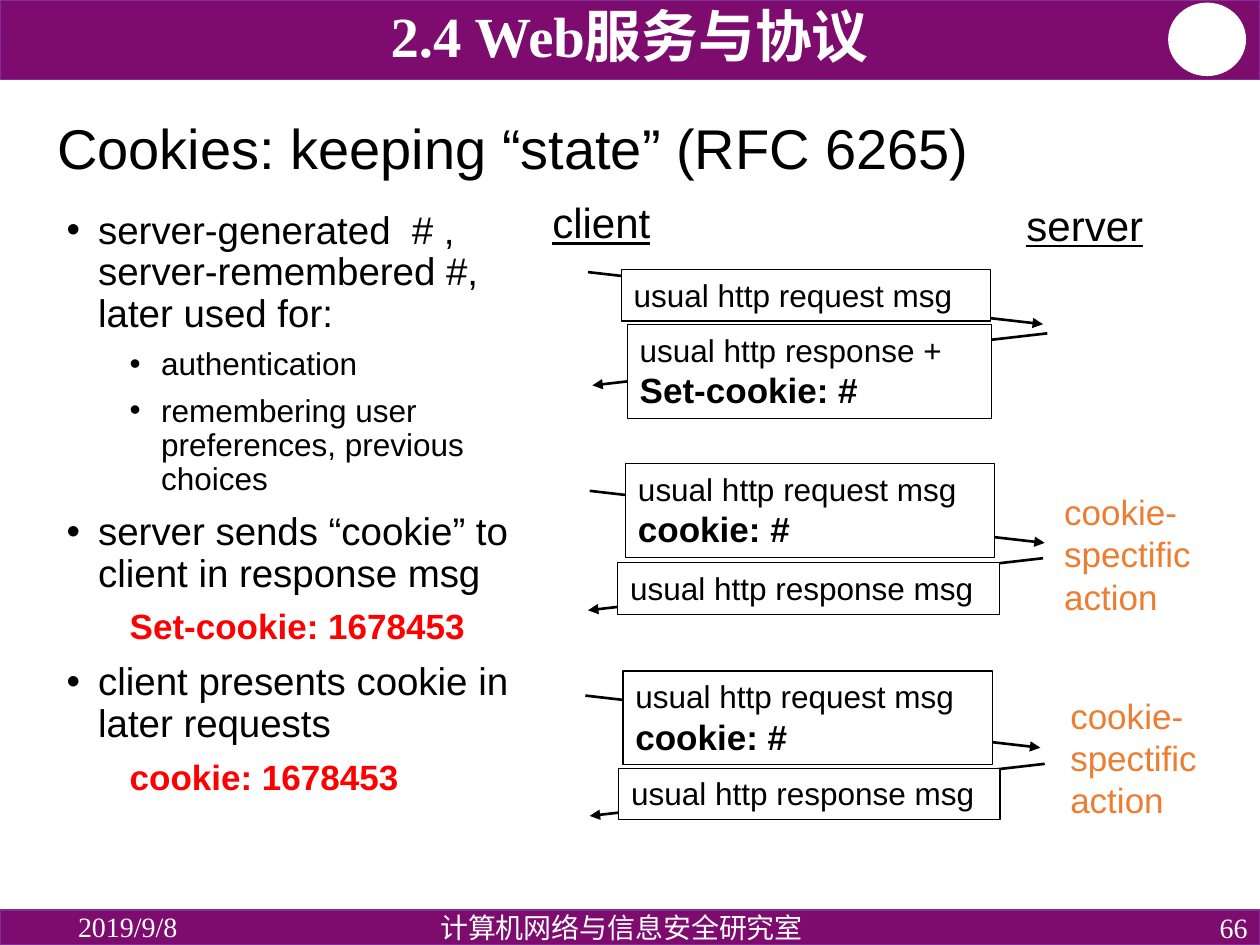
"""Build a slide on how HTTP cookies keep state between client and server."""
from lxml import etree
from pptx import Presentation
from pptx.dml.color import RGBColor
from pptx.enum.shapes import MSO_CONNECTOR, MSO_SHAPE
from pptx.enum.text import MSO_ANCHOR, PP_ALIGN
from pptx.oxml.ns import qn
from pptx.util import Pt

RECT, OVAL = MSO_SHAPE.RECTANGLE, MSO_SHAPE.OVAL
STRAIGHT = MSO_CONNECTOR.STRAIGHT
TOP, MIDDLE, BOTTOM = MSO_ANCHOR.TOP, MSO_ANCHOR.MIDDLE, MSO_ANCHOR.BOTTOM
LEFT, CENTER, RIGHT = PP_ALIGN.LEFT, PP_ALIGN.CENTER, PP_ALIGN.RIGHT

PURPLE = RGBColor(0x7E, 0x0C, 0x6E)
VIOLET = RGBColor(0x7F, 0x2F, 0x95)
WHITE = RGBColor(0xFF, 0xFF, 0xFF)
BLACK = RGBColor(0x00, 0x00, 0x00)
RED = RGBColor(0xFF, 0x00, 0x00)
ORANGE = RGBColor(0xED, 0x7D, 0x31)
SANS, SERIF = "Arial", "Times New Roman"

BULLETS = [
    (0, 22, "server-generated  # , server-remembered #, later used for:"),
    (1, 18, "authentication"),
    (1, 18, "remembering user preferences, previous choices"),
    (0, 22, "server sends “cookie” to client in response msg"),
    (1, 20, "Set-cookie: 1678453"),
    (0, 22, "client presents cookie in later requests"),
    (1, 20, "cookie: 1678453"),
]

REQUEST, RESPONSE = "usual http request msg", "usual http response msg"
MESSAGES = [
    ((336, 155.5), 1, (355, 154, 211), [REQUEST]),
    ((598.5, 190.5), -1, (358.5, 185.5, 208), ["usual http response +", "Set-cookie: #"]),
    ((337, 280.5), 1, (357.5, 265, 211), [REQUEST, "cookie: #"]),
    ((596, 319), -1, (353, 321.5, 218), [RESPONSE]),
    ((334.5, 397.5), 1, (356, 383.5, 211), [REQUEST, "cookie: #"]),
    ((597, 436.5), -1, (353.5, 439, 218), [RESPONSE]),
]
ARROW_WIDTH, ARROW_DROP = 260, 29.75


def style_font(font, size, color, name=SANS, bold=False):
    """Set the face, size, colour and weight of a font."""
    font.name, font.size, font.bold = name, Pt(size), bold
    font.color.rgb = color


def add_shape(s, kind, box, fill, line, width):
    """Add a filled and outlined preset shape."""
    sp = s.shapes.add_shape(kind, *map(Pt, box))
    sp.shadow.inherit = False
    sp.fill.solid()
    sp.fill.fore_color.rgb = fill
    sp.line.color.rgb = line
    sp.line.width = Pt(width)
    return sp


def add_text(s, box, text, size, color, name=SANS, align=LEFT, anchor=TOP,
             bold=False, underline=False, wrap=True, spacing=1.0):
    """Add a text box with one uniform style."""
    tf = s.shapes.add_textbox(*map(Pt, box)).text_frame
    tf.word_wrap = wrap
    tf.vertical_anchor = anchor
    tf.text = text
    for p in tf.paragraphs:
        p.alignment = align
        p.line_spacing = spacing
        for r in p.runs:
            style_font(r.font, size, color, name, bold)
            if underline:
                r.font.underline = True


def add_bullets(s, box):
    """Add the two-level list with its red header lines."""
    tf = s.shapes.add_textbox(*map(Pt, box)).text_frame
    tf.word_wrap = True
    for i, (level, size, text) in enumerate(BULLETS):
        p = tf.paragraphs[0] if i == 0 else tf.add_paragraph()
        p.text = text
        p.level = level
        p.line_spacing = 0.9
        p.space_before = Pt(0.4 * size if i else 0)
        header = size == 20
        pPr = p._p.get_or_add_pPr()
        pPr.set("marL", str(Pt(54 if level else 18)))
        pPr.set("indent", str(Pt(-18)))
        if header:
            etree.SubElement(pPr, qn("a:buNone"))
        else:
            etree.SubElement(pPr, qn("a:buFont"), typeface=SANS)
            etree.SubElement(pPr, qn("a:buChar"), char="•")
        style_font(p.runs[0].font, size, RED if header else BLACK, bold=header)


def add_arrow(s, start, direction):
    """Add a slanted arrow heading right (1) or left (-1)."""
    x, y = start
    end = x + direction * ARROW_WIDTH, y + ARROW_DROP
    c = s.shapes.add_connector(STRAIGHT, *map(Pt, start + end))
    c.line.color.rgb = BLACK
    c.line.width = Pt(1.5)
    etree.SubElement(c.line._get_or_add_ln(), qn("a:tailEnd"), type="triangle")
    etree.SubElement(c._element.spPr, qn("a:effectLst"))


def add_message(s, left, top, width, lines):
    """Add a bordered message box whose second line is a bold header."""
    height = 53.5 if len(lines) > 1 else 29.5
    sp = add_shape(s, RECT, (left, top, width, height), WHITE, BLACK, 0.75)
    tf = sp.text_frame
    tf.word_wrap = True
    tf.vertical_anchor = TOP
    tf.text = "\n".join(lines)
    for i, p in enumerate(tf.paragraphs):
        p.alignment = LEFT
        style_font(p.runs[0].font, 20 if i else 18, BLACK, bold=i > 0)


def add_frame(s):
    """Add the header and footer bands with their texts."""
    add_shape(s, RECT, (0, 0, 720, 45.5), PURPLE, VIOLET, 1)
    add_shape(s, OVAL, (668, 2, 43.5, 41), WHITE, WHITE, 1)
    add_shape(s, RECT, (0, 520, 720, 20), PURPLE, VIOLET, 1)
    add_text(s, (37.5, 520, 162, 19), "2019/9/8", 16, WHITE, SERIF, anchor=MIDDLE)
    add_text(s, (558, 520, 162, 20), "66", 16, WHITE, SERIF, RIGHT, MIDDLE)
    add_text(s, (194, 519, 322.5, 20), "计算机网络与信息安全研究室", 16, WHITE,
             SERIF, CENTER, spacing=0.9)
    add_text(s, (52, 2.5, 615.5, 40), "2.4 Web服务与协议", 32.4, WHITE, SERIF,
             CENTER, BOTTOM, bold=True, spacing=0.8)


def main():
    """Build and save the slide."""
    prs = Presentation()
    prs.slide_width, prs.slide_height = Pt(720), Pt(540)
    s = prs.slides.add_slide(prs.slide_layouts[6])
    add_frame(s)
    add_text(s, (25.5, 52, 669, 69), "Cookies: keeping “state” (RFC 6265)", 32, BLACK,
             anchor=MIDDLE, spacing=0.9)
    add_bullets(s, (31, 117, 283.5, 374.5))
    add_text(s, (308.5, 109, 70.5, 36), "client", 24, BLACK, underline=True, wrap=False)
    add_text(s, (579.5, 110.5, 81, 36), "server", 24, BLACK, underline=True, wrap=False)
    for start, direction, place, lines in MESSAGES:
        add_arrow(s, start, direction)
        add_message(s, *place, lines)
    for left, top in ((601, 277), (604.5, 393.5)):
        add_text(s, (left, top, 96, 79), "cookie-\nspectific\naction", 20, ORANGE)
    prs.save("out.pptx")


if __name__ == "__main__":
    main()
